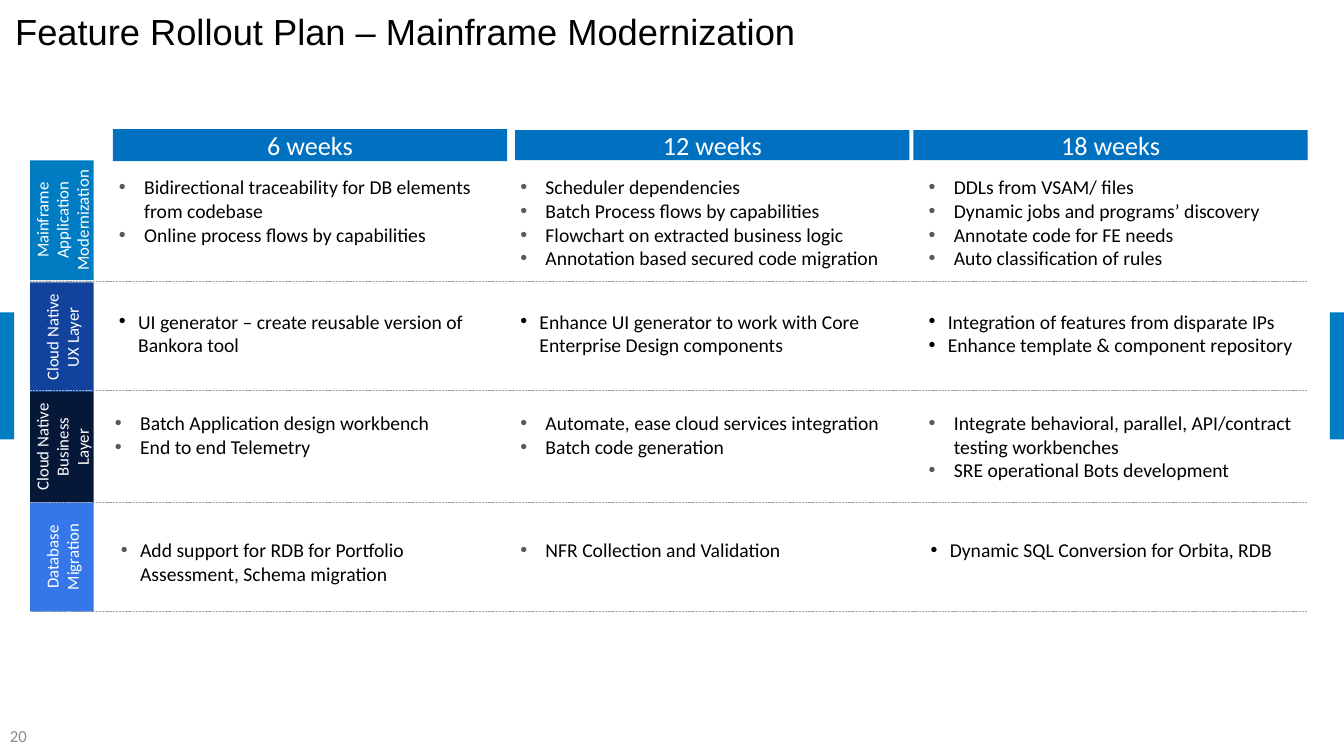
"""Build the feature rollout plan slide for mainframe modernization."""
from dataclasses import dataclass

from lxml import etree
from pptx import Presentation
from pptx.dml.color import RGBColor
from pptx.enum.dml import MSO_LINE
from pptx.enum.shapes import MSO_CONNECTOR, MSO_SHAPE
from pptx.enum.text import MSO_ANCHOR, MSO_AUTO_SIZE, PP_ALIGN
from pptx.oxml.ns import qn
from pptx.util import Inches, Pt

RECTANGLE, STRAIGHT, DASH = MSO_SHAPE.RECTANGLE, MSO_CONNECTOR.STRAIGHT, MSO_LINE.SQUARE_DOT
LEFT, CENTER = PP_ALIGN.LEFT, PP_ALIGN.CENTER
TOP, MIDDLE = MSO_ANCHOR.TOP, MSO_ANCHOR.MIDDLE
NO_FIT = MSO_AUTO_SIZE.NONE


@dataclass(frozen=True)
class Theme:
    title_font: str = "Arial"
    body_font: str = "Calibri"
    title_size: float = 25.9
    header_size: float = 18.7
    body_size: float = 14
    label_size: float = 12
    black: str = "000000"
    white: str = "FFFFFF"
    gray: str = "595959"
    number: str = "8C8C8C"
    rule: str = "A6A6A6"
    accent: str = "007CC3"
    header: str = "0070C0"
    ux: str = "11439D"
    business: str = "061838"
    database: str = "3576E9"


theme = Theme()
presentation = Presentation()
presentation.slide_width, presentation.slide_height = Inches(13.33), Inches(7.5)
GRID_ROWS = 75
CELL = presentation.slide_height / GRID_ROWS
GRID_COLUMNS = presentation.slide_width / CELL
slide = presentation.slides.add_slide(presentation.slide_layouts[5])
shapes = slide.shapes


def grid(*lengths):
    return [round(length * CELL) for length in lengths]


def write(shape, text, size, color, alignment=LEFT, anchor=MIDDLE, inset=0.7, font=theme.body_font):
    frame = shape.text_frame
    frame.text = text
    frame.word_wrap = True
    frame.auto_size = NO_FIT
    frame.vertical_anchor = anchor
    frame.margin_left = frame.margin_right = grid(inset)[0]
    frame.margin_top = frame.margin_bottom = grid(min(inset, 0.7))[0]
    for paragraph in frame.paragraphs:
        paragraph.alignment = alignment
        for run in paragraph.runs:
            run.font.name = font
            run.font.size = Pt(size)
            run.font.color.rgb = RGBColor.from_string(color)


title = shapes.title
title.left, title.top, title.width, title.height = grid(0.5, 1.2, 127.2, 4.6)
write(title, "Feature Rollout Plan – Mainframe Modernization",
      theme.title_size, theme.black, inset=1, font=theme.title_font)
title.text_frame.paragraphs[0].line_spacing = 0.8

TAB_WIDTH = 1.4
LABEL_LEFT, LABEL_THICKNESS, RIGHT_EDGE = 3, 6.3, 129.7
HEADER_WIDTH, TEXT_WIDTH = 39.1, 38.2
LABEL_CENTER = LABEL_LEFT + LABEL_THICKNESS / 2
WIDE, TIGHT = 2.5, 1.9

headers = [("6 weeks", 11.2, 12.8, 3.2), ("12 weeks", 51.1, 12.9, 3), ("18 weeks", 90.6, 12.9, 3)]
text_lefts = [11.1, 50.9, 91.4]

rows = [
    ("Mainframe\nApplication Modernization", theme.accent, 21.85, 11.9, 27.9, 16.7, [
        (0, WIDE, theme.gray, "Bidirectional traceability for DB elements from codebase\n"
                              "Online process flows by capabilities"),
        (0, WIDE, theme.gray, "Scheduler dependencies\nBatch Process flows by capabilities\n"
                              "Flowchart on extracted business logic\n"
                              "Annotation based secured code migration"),
        (0, WIDE, theme.gray, "DDLs from VSAM/ files\nDynamic jobs and programs’ discovery\n"
                              "Annotate code for FE needs\nAuto classification of rules")]),
    ("Cloud Native UX Layer", theme.ux, 33.45, 10.9, 38.7, 30, [
        (0, TIGHT, theme.black, "UI generator – create reusable version of Bankora tool"),
        (0, TIGHT, theme.black, "Enhance UI generator to work with Core Enterprise Design components"),
        (0, TIGHT, theme.black, "Integration of features from disparate IPs\n"
                                "Enhance template & component repository")]),
    ("Cloud Native Business Layer", theme.business, 44.35, 10.9, 49.8, 40.1, [
        (-0.4, WIDE, theme.gray, "Batch Application design workbench\nEnd to end Telemetry"),
        (0, WIDE, theme.gray, "Automate, ease cloud services integration\nBatch code generation"),
        (0, WIDE, theme.gray, "Integrate behavioral, parallel, API/contract testing workbenches\n"
                              "SRE operational Bots development")]),
    ("Database Migration", theme.database, 55.25, 10.9, 60.7, 52.7, [
        (0.2, TIGHT, theme.gray, "Add support for RDB for Portfolio Assessment, Schema migration"),
        (0, WIDE, theme.gray, "NFR Collection and Validation"),
        (0.2, TIGHT, theme.black, "Dynamic SQL Conversion for Orbita, RDB")]),
]

blocks = [("", theme.accent, left, 31, TAB_WIDTH, 12.6, 0) for left in (0, GRID_COLUMNS - TAB_WIDTH)]
blocks += [(name, theme.header, left, top, HEADER_WIDTH, height, 0) for name, left, top, height in headers]
blocks += [(name, fill, LABEL_CENTER - length / 2, middle - LABEL_THICKNESS / 2,
            length, LABEL_THICKNESS, 270) for name, fill, middle, length, *_ in rows]

for name, fill, left, top, width, height, rotation in blocks:
    block = shapes.add_shape(RECTANGLE, *grid(left, top, width, height))
    block.shadow.inherit = False
    block.rotation = rotation
    block.fill.solid()
    block.fill.fore_color.rgb = RGBColor.from_string(fill)
    block.line.fill.background()
    if name:
        size = theme.label_size if rotation else theme.header_size
        write(block, name, size, theme.white, CENTER)

for name, fill, middle, length, rule_top, text_top, cells in rows:
    rule = shapes.add_connector(STRAIGHT, *grid(LABEL_LEFT, rule_top, RIGHT_EDGE, rule_top))
    rule.line.color.rgb = RGBColor.from_string(theme.rule)
    rule.line.width = Pt(0.5)
    rule.line.dash_style = DASH
    etree.SubElement(rule._element.spPr, qn("a:effectLst"))

    for text_left, (shift, indent, bullet_color, text) in zip(text_lefts, cells):
        features = shapes.add_textbox(*grid(text_left + shift, text_top, TEXT_WIDTH, 8.4))
        write(features, text, theme.body_size, theme.black, anchor=TOP)
        for paragraph in features.text_frame.paragraphs:
            properties = paragraph._p.get_or_add_pPr()
            properties.set("marL", str(grid(indent)[0]))
            properties.set("indent", str(grid(-indent)[0]))
            color = etree.SubElement(properties, qn("a:buClr"))
            etree.SubElement(color, qn("a:srgbClr"), val=bullet_color)
            etree.SubElement(properties, qn("a:buFont"), typeface="Arial")
            etree.SubElement(properties, qn("a:buChar"), char="•")

slide_number = shapes.add_textbox(*grid(0, 71, 30, 4))
write(slide_number, "20", theme.label_size, theme.number, inset=1)

presentation.save("out.pptx")
